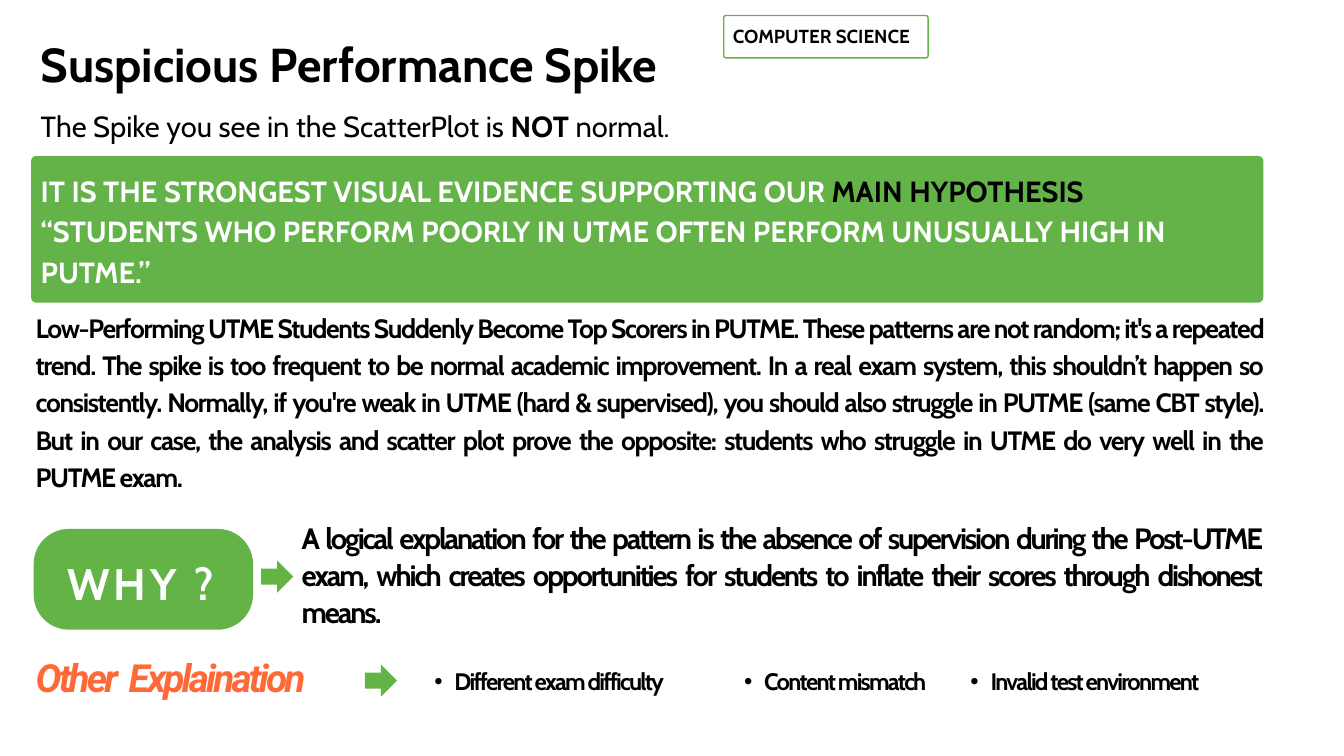
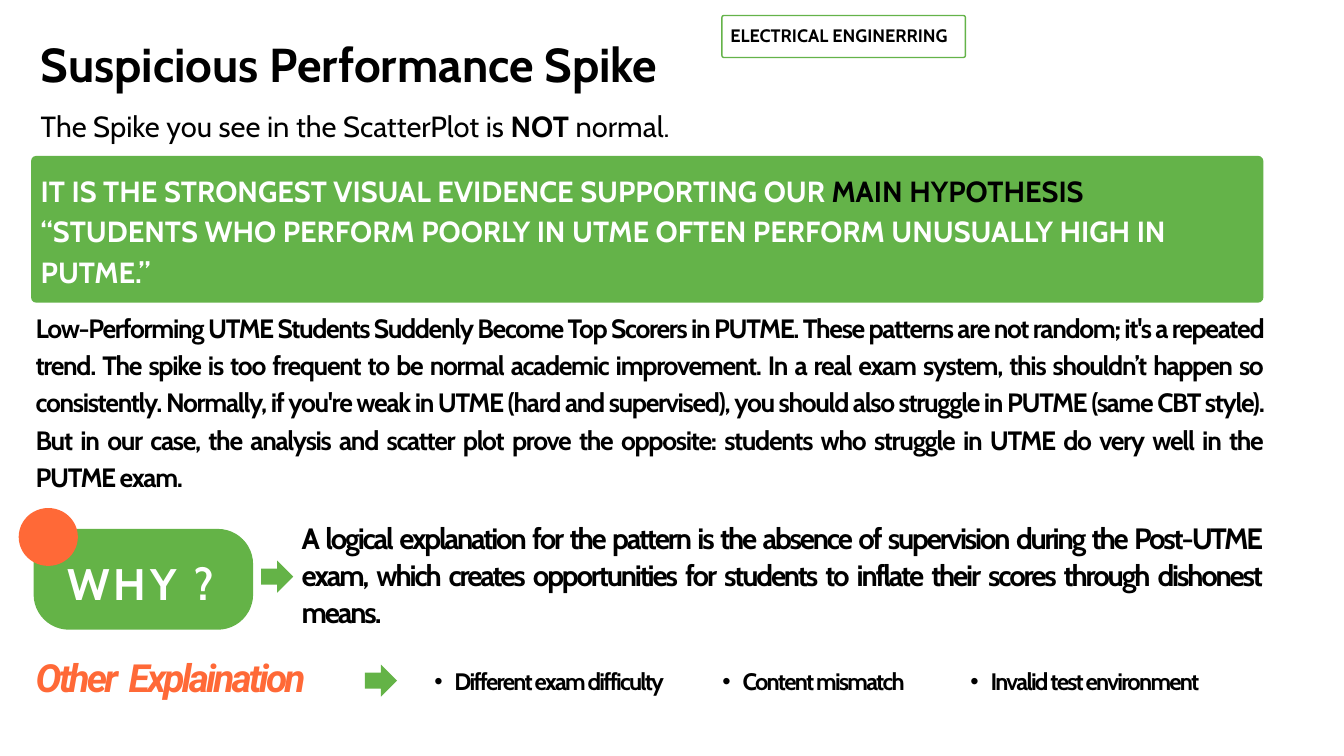
import dataclasses
import typing

import lxml.etree
import pptx
import pptx.dml.color
import pptx.enum.shapes
import pptx.enum.text
import pptx.oxml.ns
import pptx.presentation
import pptx.slide
import pptx.text.text
import pptx.util

Pt = pptx.util.Pt
RGB = pptx.dml.color.RGBColor
KIND = pptx.enum.shapes.MSO_SHAPE
ALIGN = pptx.enum.text.PP_ALIGN
TEXT = pptx.enum.text
qn = pptx.oxml.ns.qn

BLACK = RGB(0x00, 0x00, 0x00)
WHITE = RGB(0xFF, 0xFF, 0xFF)
LEAF = RGB(0x64, 0xB3, 0x49)
GREEN = RGB(0x64, 0xB3, 0x47)
CORAL = RGB(0xFF, 0x69, 0x37)

TITLE_ONLY = 5
HANG = 21.6
EDGE = 43.6


@dataclasses.dataclass(frozen=True)
class Box:
    left: float
    top: float
    width: float
    height: float

    def lengths(self) -> list[pptx.util.Length]:
        return [Pt(side) for side in dataclasses.astuple(self)]


@dataclasses.dataclass(frozen=True)
class Style:
    size: float
    lead: float
    color: RGB = BLACK
    bold: bool = True
    italic: bool = False
    face: str = "Cabin"
    track: float = 0
    align: ALIGN = ALIGN.LEFT
    bullet: bool = False


@dataclasses.dataclass(frozen=True)
class Run:
    """A stretch of text that differs from the style of its paragraph."""
    text: str
    color: RGB | None = None
    bold: bool | None = None
    track: float | None = None


Line = typing.Sequence[Run]


@dataclasses.dataclass(frozen=True)
class Form:
    kind: KIND
    box: Box
    fill: RGB
    round: float | None = None
    edge: RGB | None = None


@dataclasses.dataclass(frozen=True)
class Label:
    box: Box
    style: Style
    lines: typing.Sequence[Line]


@dataclasses.dataclass(frozen=True)
class Topic:
    """What sets the slide of one department apart."""
    badge: Box
    name: Label
    joint: str
    middle: float
    dot: bool


HEAD = Style(51, 56.1)
LEAD = Style(31.2, 43.8, bold=False)
CLAIM = Style(31.2, 43.8, WHITE)
BODY = Style(28.4, 39.8, track=-1.44, align=ALIGN.JUSTIFY)
CAUSE = Style(31.5, 40, track=-2.3, align=ALIGN.JUSTIFY)
ASK = Style(47.3, 66.2, WHITE, track=4.2)
OTHER = Style(41.5, 52.7, CORAL, italic=True, face="Roboto", track=-3,
              align=ALIGN.JUSTIFY)
POINT = Style(25.5, 32.4, track=-1.9, align=ALIGN.JUSTIFY, bullet=True)


def plain(text: str) -> list[Line]:
    return [[Run(text)]]


TITLE = Label(Box(EDGE, 42.5, 754.5, 57.6), HEAD, plain("Suspicious Performance Spike"))

FORMS = [
    Form(KIND.ROUNDED_RECTANGLE, Box(33.3, 167, 1320.3, 157.3), LEAF, 0.035),
    Form(KIND.ROUNDED_RECTANGLE, Box(36, 566.7, 235.2, 108), GREEN, 0.35),
    Form(KIND.RIGHT_ARROW, Box(279.8, 600.6, 34.4, 34.4), GREEN),
    Form(KIND.RIGHT_ARROW, Box(391, 712, 34.4, 34.4), GREEN),
]
DOT = Form(KIND.OVAL, Box(20, 544.3, 63.4, 62), CORAL)

LABELS = [
    Label(Box(EDGE, 110.2, 1155.6, 41.8), LEAD, [[
        Run("The Spike you see in the ScatterPlot is "),
        Run("NOT", bold=True), Run(" normal.")]]),
    Label(Box(EDGE, 178.9, 1278, 129), CLAIM, [
        [Run("IT IS THE STRONGEST VISUAL EVIDENCE SUPPORTING OUR "),
         Run("MAIN HYPOTHESIS", BLACK)],
        [Run("“STUDENTS WHO PERFORM POORLY IN UTME OFTEN PERFORM "
             "UNUSUALLY HIGH IN PUTME.”")]]),
    Label(Box(72, 586.8, 199.4, 62), ASK, plain("WHY ?")),
    Label(Box(323.3, 554.8, 1028.2, 119.5), CAUSE, plain(
        "A logical explanation for the pattern is the absence of supervision "
        "during the Post-UTME exam, which creates opportunities for students "
        "to inflate their scores through dishonest means.")),
    Label(Box(38.2, 697.5, 370, 51.8), OTHER, [[
        Run("Other"), Run(" ", track=1), Run("Explaination")]]),
]

STORY = (
    "Low-Performing UTME Students Suddenly Become Top Scorers in PUTME. These "
    "patterns are not random; it's a repeated trend. The spike is too frequent "
    "to be normal academic improvement. In a real exam system, this shouldn’t "
    "happen so consistently. Normally, if you're weak in UTME (hard {joint} "
    "supervised), you should also struggle in PUTME (same CBT style). But in "
    "our case, the analysis and scatter plot prove the opposite: students who "
    "struggle in UTME do very well in the PUTME exam."
)

TOPICS = [
    Topic(Box(775.5, 16.6, 218.9, 45.4),
          Label(Box(785.2, 28.8, 209.5, 22), Style(20.2, 21.9),
                plain("COMPUTER SCIENCE")),
          "&", 775.6, False),
    Topic(Box(773.5, 16.6, 260.9, 45),
          Label(Box(782.6, 28.8, 265, 21), Style(19.3, 20.8),
                plain("ELECTRICAL ENGINERRING")),
          "and", 752.4, True),
]


def track(mark: lxml.etree._Element, points: float) -> None:
    """Set the letter spacing of a run or paragraph font element."""
    mark.set("spc", str(round(points * 100)))


def dress(para: pptx.text.text._Paragraph, style: Style) -> None:
    para.alignment = style.align
    para.line_spacing = Pt(style.lead)
    props = para._p.get_or_add_pPr()
    if style.bullet:
        para.level = 1
        props.set("marL", str(Pt(2 * HANG)))
        props.set("indent", str(-Pt(HANG)))
        lxml.etree.SubElement(props, qn("a:buFont")).set("typeface", "Arial")
        lxml.etree.SubElement(props, qn("a:buChar")).set("char", "•")
    font = para.font
    font.name = style.face
    font.size = Pt(style.size)
    font.bold = style.bold
    font.italic = style.italic
    font.color.rgb = style.color
    if style.track:
        track(props.find(qn("a:defRPr")), style.track)


def write(frame: pptx.text.text.TextFrame, label: Label) -> None:
    frame.margin_left = frame.margin_top = 0
    frame.margin_right = frame.margin_bottom = 0
    frame.word_wrap = True
    frame.auto_size = TEXT.MSO_AUTO_SIZE.SHAPE_TO_FIT_TEXT
    frame.vertical_anchor = TEXT.MSO_ANCHOR.TOP
    for index, line in enumerate(label.lines):
        para = frame.add_paragraph() if index else frame.paragraphs[0]
        dress(para, label.style)
        for part in line:
            run = para.add_run()
            run.text = part.text
            if part.color is not None:
                run.font.color.rgb = part.color
            if part.bold is not None:
                run.font.bold = part.bold
            if part.track is not None:
                track(run._r.get_or_add_rPr(), part.track)


def draw(slide: pptx.slide.Slide, form: Form) -> None:
    shape = slide.shapes.add_shape(form.kind, *form.box.lengths())
    shape.shadow.inherit = False
    shape.fill.solid()
    shape.fill.fore_color.rgb = form.fill
    if form.round is not None:
        shape.adjustments[0] = form.round
    if form.edge is None:
        shape.line.fill.background()
    else:
        shape.line.color.rgb = form.edge
        shape.line.width = Pt(1.5)


def place(slide: pptx.slide.Slide, label: Label) -> None:
    write(slide.shapes.add_textbox(*label.box.lengths()).text_frame, label)


def head(slide: pptx.slide.Slide) -> None:
    title = slide.shapes.title
    title.left, title.top, title.width, title.height = TITLE.box.lengths()
    write(title.text_frame, TITLE)


def points(middle: float) -> list[Label]:
    items = [
        (443.7, 313.2, "Different exam difficulty"),
        (middle, 265.7, "Content mismatch"),
        (1018.2, 333.4, "Invalid test environment"),
    ]
    return [Label(Box(left, 712.4, width, 31.7), POINT, plain(text))
            for left, width, text in items]


def build(deck: pptx.presentation.Presentation, topic: Topic) -> None:
    slide = deck.slides.add_slide(deck.slide_layouts[TITLE_ONLY])
    head(slide)
    badge = Form(KIND.ROUNDED_RECTANGLE, topic.badge, WHITE, 0.05, LEAF)
    for form in [badge, *FORMS]:
        draw(slide, form)
    story = Label(Box(38.2, 328.7, 1315.4, 196.6), BODY,
                  plain(STORY.format(joint=topic.joint)))
    for label in [topic.name, *LABELS, story, *points(topic.middle)]:
        place(slide, label)
    if topic.dot:
        draw(slide, DOT)


def main() -> None:
    deck = pptx.Presentation()
    deck.slide_width, deck.slide_height = Pt(1440), Pt(810)
    for topic in TOPICS:
        build(deck, topic)
    deck.save("out.pptx")


if __name__ == "__main__":
    main()
